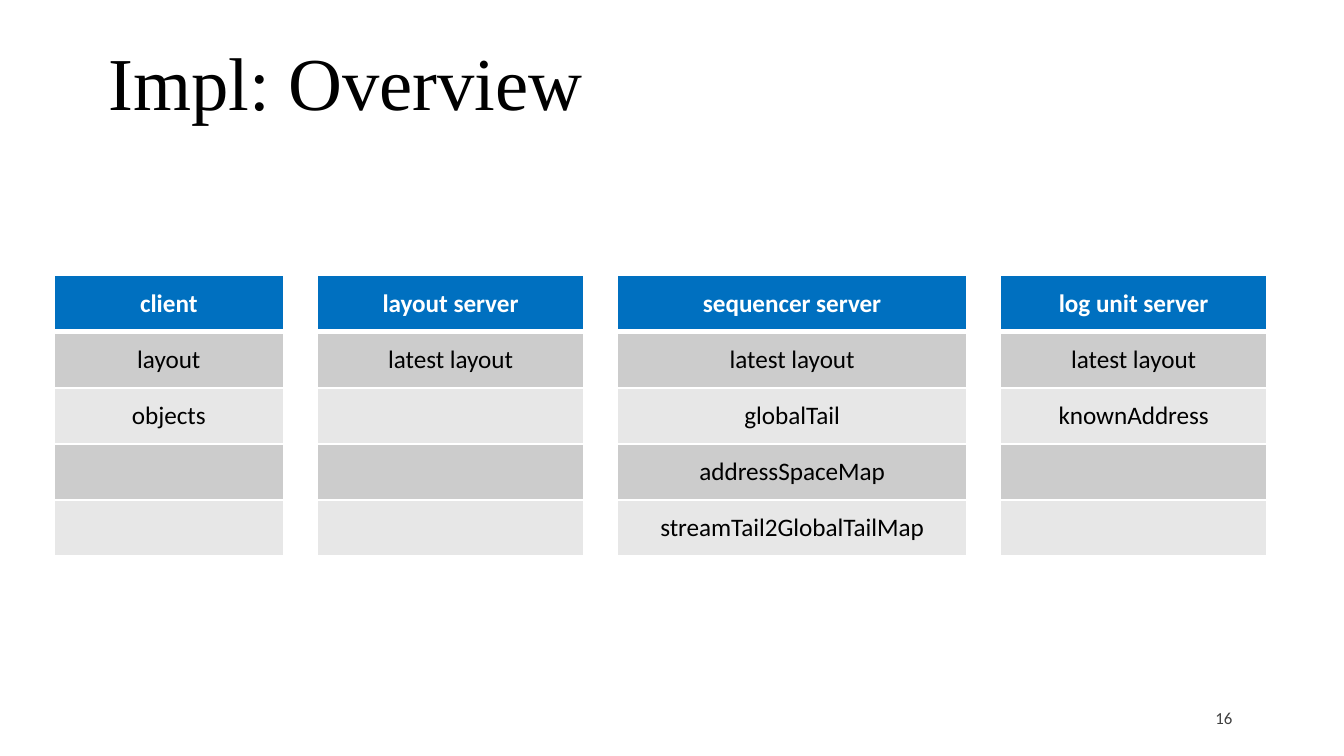
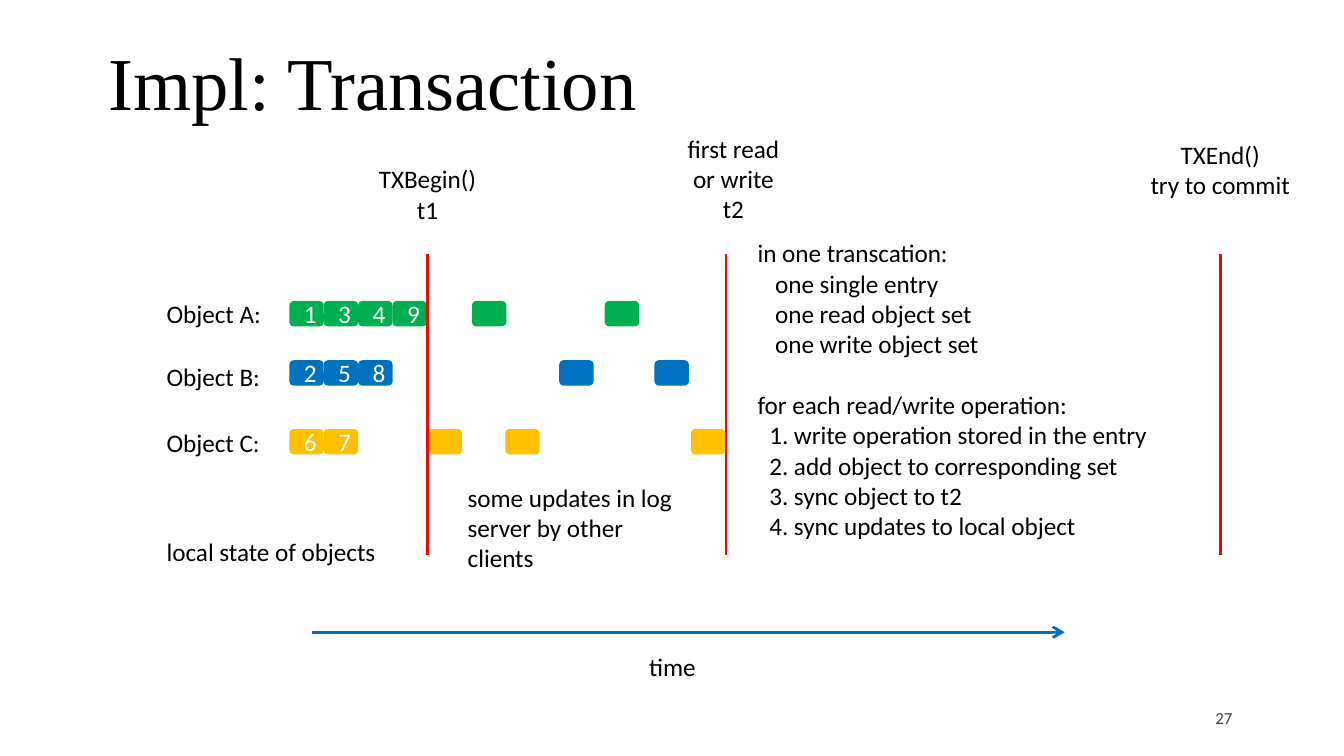
from lxml import etree
from pptx import Presentation
from pptx.dml.color import RGBColor
from pptx.enum.shapes import MSO_CONNECTOR, MSO_SHAPE
from pptx.enum.text import MSO_ANCHOR, PP_ALIGN
from pptx.oxml import parse_xml
from pptx.oxml.ns import nsdecls, qn
from pptx.util import Cm, Pt

LEFT, MID, RIGHT = PP_ALIGN.LEFT, PP_ALIGN.CENTER, PP_ALIGN.RIGHT
TOP, CENTER = MSO_ANCHOR.TOP, MSO_ANCHOR.MIDDLE
ROUND = MSO_SHAPE.ROUNDED_RECTANGLE
STRAIGHT = MSO_CONNECTOR.STRAIGHT

BODY, SERIF = "Calibri", "Times New Roman"
SIZE = 13.5
BLACK, WHITE, GREY = "000000", "FFFFFF", "404040"
BLUE, GREEN, GOLD, RED = "0070C0", "00B050", "FFC000", "FF0000"
DARK, LIGHT = "CCCCCC", "E7E7E7"

TABLES = [
    (4.34, ["client", "layout", "objects", "", ""]),
    (5.03, ["layout server", "latest layout", "", "", ""]),
    (6.6, ["sequencer server", "latest layout", "globalTail",
           "addressSpaceMap", "streamTail2GlobalTailMap"]),
    (5.03, ["log unit server", "latest layout", "knownAddress", "", ""]),
]
LANES = [
    ("Object A:", GREEN, 0, 0.18, "1349", [6.02, 8.53]),
    ("Object B:", BLUE, 1.19, 1.3, "258", [7.67, 9.47]),
    ("Object C:", GOLD, 2.44, 2.6, "67", [5.18, 6.65, 10.16]),
]
MARKS = [
    (0, 0, 2.97, 2.97, "TXBegin()\nt1"),
    (5.64, 0.14, 2.39, 2.97, "first read\nor write\nt2"),
    (14.98, 0, 2.51, 3.43, "TXEnd()\ntry to commit"),
]
RULES = """in one transcation:
one single entry
one read object set
one write object set"""
STEPS = """for each read/write operation:
1. write operation stored in the entry
2. add object to corresponding set
3. sync object to t2
4. sync updates to local object"""


def rgb(code):
    return RGBColor.from_string(code)


def style(frame, size=SIZE, hue=BLACK, face=BODY, align=LEFT, bold=False):
    for para in frame.paragraphs:
        para.alignment = align
        for run in para.runs:
            font = run.font
            font.size, font.name, font.bold = Pt(size), face, bold
            font.color.rgb = rgb(hue)


def write(slide, box, text, anchor=TOP, wrap=True, **look):
    frame = slide.shapes.add_textbox(*map(Cm, box)).text_frame
    frame.word_wrap = wrap
    frame.vertical_anchor = anchor
    frame.text = text
    style(frame, **look)
    return frame


def draw(slide, start, end, hue):
    line = slide.shapes.add_connector(STRAIGHT, *map(Cm, start + end))
    line.line.color.rgb = rgb(hue)
    line.line.width = Pt(1.5)
    etree.SubElement(line._element.spPr, qn("a:effectLst"))
    return line


def border(cell, row):
    props = cell._tc.get_or_add_tcPr()
    thick = {"T": row == 1, "B": row == 0}
    for side in "LRTB":
        width = Pt(3 if thick.get(side) else 1)
        props.append(parse_xml(
            f'<a:ln{side} {nsdecls("a")} w="{width}"><a:solidFill>'
            f'<a:srgbClr val="{WHITE}"/></a:solidFill></a:ln{side}>'))


def grid(slide, box, words):
    table = slide.shapes.add_table(len(words), 1, *map(Cm, box)).table
    for row, word in enumerate(words):
        head = row == 0
        cell = table.cell(row, 0)
        border(cell, row)
        cell.fill.solid()
        cell.fill.fore_color.rgb = rgb(BLUE if head else DARK if row % 2 else LIGHT)
        cell.vertical_anchor = CENTER
        cell.text = word
        style(cell.text_frame, hue=WHITE if head else BLACK, align=MID, bold=head)


def block(slide, box, hue, text=""):
    shape = slide.shapes.add_shape(ROUND, *map(Cm, box))
    shape.shadow.inherit = False
    shape.fill.solid()
    shape.fill.fore_color.rgb = rgb(hue)
    shape.line.fill.background()
    if text:
        shape.text_frame.text = text
        style(shape.text_frame, hue=WHITE, align=MID)


def lanes(slide, left, top):
    wide, high = 0.65, 0.48
    for name, hue, drop, shift, digits, later in LANES:
        write(slide, (left, top + drop, 2.57, 0.84), name)
        for i, digit in enumerate(digits):
            block(slide, (left + 2.57 + i * wide, top + shift, wide, high), hue, digit)
        for gap in later:
            block(slide, (left + gap, top + shift, wide, high), hue)
    write(slide, (left, top + 4.5, 5.16, 0.84), "local state of objects")
    write(slide, (left + 5.69, top + 3.48, 4.62, 1.98),
          "some updates in log server by other clients")


def marks(slide, left, top, high):
    for gap, shift, head, wide, text in MARKS:
        x = left + gap
        draw(slide, (x, top), (x, top + high), RED)
        tall = 0.25 + 0.57 * len(text.split("\n"))
        write(slide, (x + shift - wide / 2, head, wide, tall), text, align=MID)


def notes(slide, left, top):
    parts = [(0, 7.42, 2.57, 0.33, RULES), (2.87, 8.61, 3.15, 0.22, STEPS)]
    for drop, wide, high, indent, text in parts:
        frame = write(slide, (left, top + drop, wide, high), text)
        for para in frame.paragraphs[1:]:
            para._p.get_or_add_pPr().set("marL", str(Cm(indent)))


def axis(slide, left, top, wide):
    line = draw(slide, (left, top), (left + wide, top), BLUE)
    tail = etree.SubElement(line.line._get_or_add_ln(), qn("a:tailEnd"))
    tail.set("type", "arrow")
    write(slide, (left + 4.65, top + 0.24, 4.34, 0.84), "time", align=MID)


def page(deck, title, wide, number):
    slide = deck.slides.add_slide(deck.slide_layouts[6])
    write(slide, (17.93, 13.23, 5.61, 0.66), number, CENTER,
          size=9, hue=GREY, align=RIGHT)
    frame = write(slide, (1.8, 0.89, wide, 1.63), title, wrap=False,
                  size=40, face=SERIF)
    frame.paragraphs[0].line_spacing = 0.8
    return slide


def overview(deck):
    slide = page(deck, "Impl: Overview", 9.83, "16")
    left, gap = 1.02, 0.64
    for wide, words in TABLES:
        grid(slide, (left, 5.21, wide, 5.3), words)
        left += wide + gap


def transact(deck):
    slide = page(deck, "Impl: Transaction", 11.25, "27")
    lanes(slide, 2.9, 5.51)
    marks(slide, 8.08, 4.8, 5.69)
    notes(slide, 14.07, 4.37)
    axis(slide, 5.89, 11.95, 14.23)


def main():
    deck = Presentation()
    deck.slide_width, deck.slide_height = Cm(25.4), Cm(14.29)
    overview(deck)
    transact(deck)
    deck.save("out.pptx")


if __name__ == "__main__":
    main()
